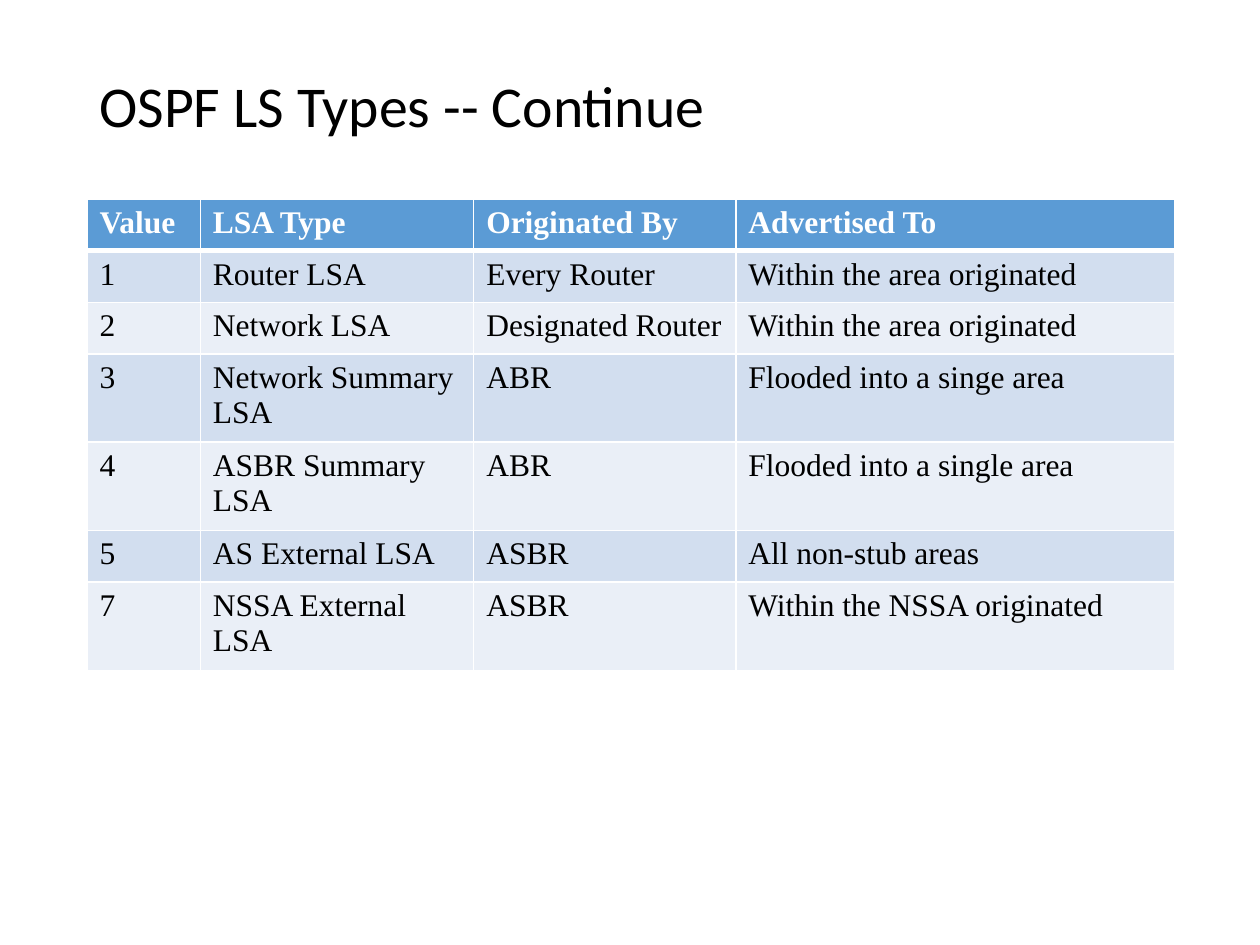
from dataclasses import astuple, dataclass

from lxml import etree
from pptx import Presentation
from pptx import util as u
from pptx.dml.color import RGBColor
from pptx.enum import text
from pptx.oxml.ns import qn

COLORS = {
    "white": "FFFFFF",
    "black": "000000",
    "header": "5B9BD5",
    "odd": "D2DEEF",
    "even": "EAEFF7",
}
WIDTH, HEIGHT = u.Inches(10), u.Inches(7.5)
LEFT, CONTENT_WIDTH = u.Inches(0.69), u.Inches(8.62)
COLUMNS = (0.9, 2.17, 2.08, 3.48)
ROW_HEIGHT = u.Inches(0.41)
THIN, THICK = u.Pt(1), u.Pt(3)


@dataclass(frozen=True)
class LsaRow:
    value: str
    lsa_type: str
    originated_by: str
    advertised_to: str


ROWS = (
    LsaRow("Value", "LSA Type", "Originated By", "Advertised To"),
    LsaRow("1", "Router LSA", "Every Router", "Within the area originated"),
    LsaRow("2", "Network LSA", "Designated Router", "Within the area originated"),
    LsaRow("3", "Network Summary LSA", "ABR", "Flooded into a singe area"),
    LsaRow("4", "ASBR Summary LSA", "ABR", "Flooded into a single area"),
    LsaRow("5", "AS External LSA", "ASBR", "All non-stub areas"),
    LsaRow("7", "NSSA External LSA", "ASBR", "Within the NSSA originated"),
)


def color(name: str) -> RGBColor:
    return RGBColor.from_string(COLORS[name])


def style_font(font, name: str, size: float, ink: str, bold: bool = False) -> None:
    font.name, font.size, font.bold = name, u.Pt(size), bold
    font.color.rgb = color(ink)


def add_borders(cell, top: int, bottom: int) -> None:
    """Put white lines round a cell, ahead of its fill as the schema asks."""
    properties = cell._tc.get_or_add_tcPr()
    widths = {"lnL": THIN, "lnR": THIN, "lnT": top, "lnB": bottom}
    for position, (side, width) in enumerate(widths.items()):
        line = etree.Element(qn(f"a:{side}"), w=str(int(width)))
        fill = etree.SubElement(line, qn("a:solidFill"))
        etree.SubElement(fill, qn("a:srgbClr"), val=COLORS["white"])
        properties.insert(position, line)


def add_title(page, title: str) -> None:
    box = page.shapes.add_textbox(LEFT, u.Inches(0.4), CONTENT_WIDTH, u.Inches(0.93))
    frame = box.text_frame
    frame.word_wrap = True
    frame.vertical_anchor = text.MSO_ANCHOR.MIDDLE
    frame.text = title
    para = frame.paragraphs[0]
    para.line_spacing = 0.9
    style_font(para.runs[0].font, "Calibri", 33, "black")


def add_lsa_table(page, rows: tuple[LsaRow, ...]) -> None:
    table = page.shapes.add_table(
        len(rows), len(COLUMNS), LEFT, u.Inches(1.58),
        CONTENT_WIDTH, ROW_HEIGHT * len(rows),
    ).table
    for column, width in zip(table.columns, COLUMNS):
        column.width = u.Inches(width)
    for index, row in enumerate(rows):
        table.rows[index].height = ROW_HEIGHT
        header = index == 0
        band = "header" if header else ("even", "odd")[index % 2]
        for cell, words in zip(table.rows[index].cells, astuple(row)):
            cell.text = words
            cell.fill.solid()
            cell.fill.fore_color.rgb = color(band)
            add_borders(cell, THICK if index == 1 else THIN, THICK if header else THIN)
            span = cell.text_frame.paragraphs[0].runs[0]
            style_font(span.font, "Times New Roman", 18,
                       "white" if header else "black", header)


def main() -> None:
    deck = Presentation()
    deck.slide_width, deck.slide_height = WIDTH, HEIGHT
    page = deck.slides.add_slide(deck.slide_layouts[6])
    add_title(page, "OSPF LS Types -- Continue")
    add_lsa_table(page, ROWS)
    deck.save("out.pptx")


if __name__ == "__main__":
    main()
